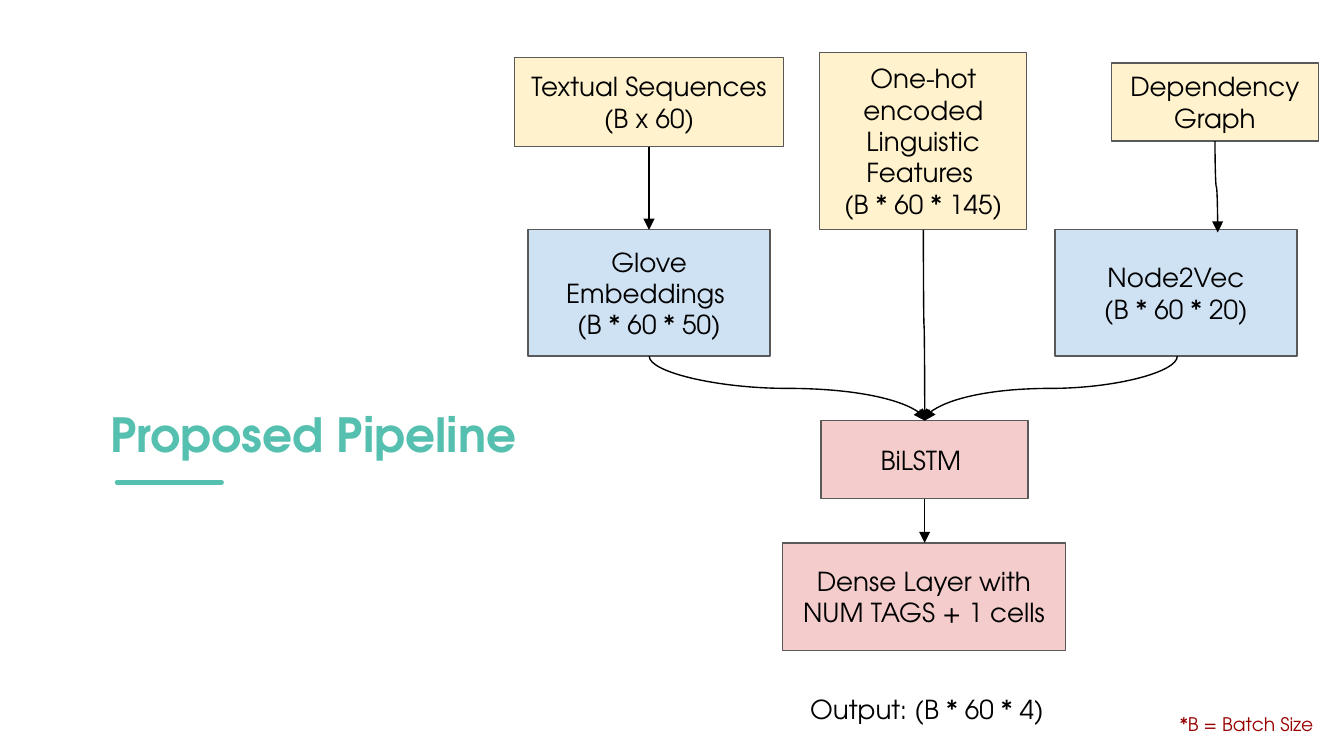
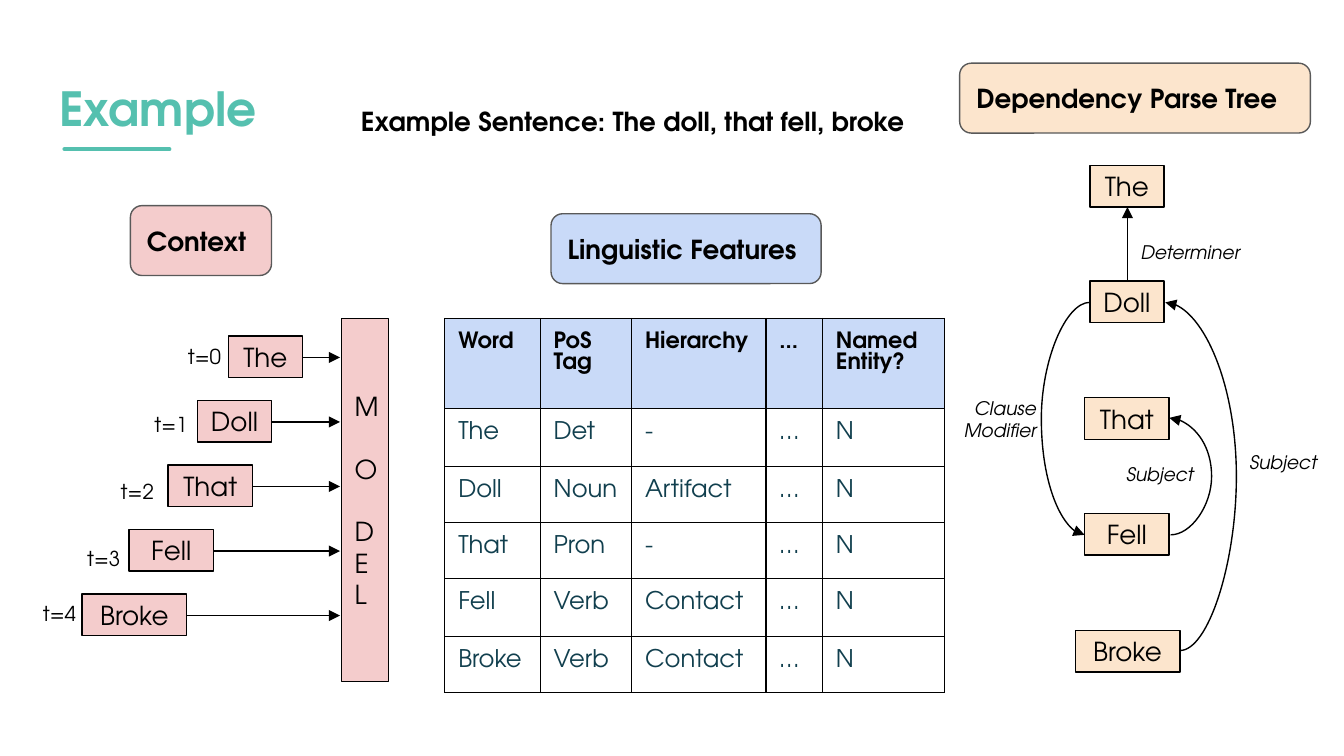
from dataclasses import dataclass

from lxml import etree
from pptx import Presentation
from pptx.dml.color import RGBColor
from pptx.enum.shapes import MSO_CONNECTOR, MSO_SHAPE
from pptx.enum.text import MSO_ANCHOR, MSO_AUTO_SIZE, PP_ALIGN
from pptx.oxml.ns import qn
from pptx.util import Emu, Pt

STRAIGHT, CURVE = MSO_CONNECTOR.STRAIGHT, MSO_CONNECTOR.CURVE
RECT, ROUNDED = MSO_SHAPE.RECTANGLE, MSO_SHAPE.ROUNDED_RECTANGLE
TOP, MIDDLE = MSO_ANCHOR.TOP, MSO_ANCHOR.MIDDLE
LEFT, CENTER, RIGHT = PP_ALIGN.LEFT, PP_ALIGN.CENTER, PP_ALIGN.RIGHT
GROW, FIXED = MSO_AUTO_SIZE.SHAPE_TO_FIT_TEXT, MSO_AUTO_SIZE.NONE
TITLE_ONLY = 5
EMU_PER_PX = 9144
INSET = 10
START, END = "a:headEnd", "a:tailEnd"


@dataclass(frozen=True)
class Theme:
    font: str = "TeX Gyre Adventor"
    accent: str = "55C0AF"
    ink: str = "000000"
    outline: str = "595959"
    note: str = "980000"
    table_ink: str = "113F4E"
    yellow: str = "FFF2CC"
    blue: str = "CFE2F3"
    pink: str = "F4CCCC"
    header: str = "C9DAF8"
    peach: str = "FCE5CD"
    title_size: float = 25.2
    body_size: int = 14
    cell_size: int = 13
    header_size: int = 12
    step_size: int = 11
    small_size: int = 10
    thin: float = 0.75
    thick: float = 2.25


THEME = Theme()
WORD_WIDTHS = {"The": 55, "Doll": 55, "That": 63, "Fell": 63, "Broke": 78}
WORD_HEIGHT = 31


def px(value):
    return Emu(round(value * EMU_PER_PX))


def color(value):
    return RGBColor.from_string(value)


def place(left, top, width, height):
    return px(left), px(top), px(width), px(height)


def set_text(frame, text, size=THEME.body_size, ink=THEME.ink, bold=False,
             italic=False, align=LEFT):
    frame.text = text
    for para in frame.paragraphs:
        para.alignment = align
        for span in para.runs:
            font = span.font
            font.name, font.size = THEME.font, Pt(size)
            font.bold, font.italic = bold, italic
            font.color.rgb = color(ink)
        for line_break in para._p.findall(qn("a:br")):
            style = etree.SubElement(line_break, qn("a:rPr"),
                                     sz=str(round(size * 100)))
            etree.SubElement(style, qn("a:latin"), typeface=THEME.font)


def set_frame(frame, anchor, auto_size=FIXED):
    frame.word_wrap = True
    frame.auto_size = auto_size
    frame.vertical_anchor = anchor
    frame.margin_left = frame.margin_right = px(INSET)
    frame.margin_top = frame.margin_bottom = px(INSET)


def add_box(page, text, bounds, fill, outline=THEME.outline, kind=RECT,
            align=CENTER, bold=False):
    box = page.shapes.add_shape(kind, *place(*bounds))
    box.shadow.inherit = False
    box.fill.solid()
    box.fill.fore_color.rgb = color(fill)
    box.line.color.rgb = color(outline)
    box.line.width = Pt(THEME.thin)
    set_frame(box.text_frame, MIDDLE)
    set_text(box.text_frame, text, bold=bold, align=align)


def add_heading(page, text, bounds, fill):
    add_box(page, text, bounds, fill, kind=ROUNDED, align=LEFT, bold=True)


def add_word(page, word, left, top, fill):
    bounds = (left, top, WORD_WIDTHS[word], WORD_HEIGHT)
    add_box(page, word, bounds, fill, THEME.ink)


def add_label(page, text, bounds, anchor=TOP, auto_size=GROW, **style):
    label = page.shapes.add_textbox(*place(*bounds))
    set_frame(label.text_frame, anchor, auto_size)
    set_text(label.text_frame, text, **style)


def add_line(page, start, finish, kind=STRAIGHT, arrow=END,
             ink=THEME.ink, weight=THEME.thin):
    points = [px(value) for value in (*start, *finish)]
    line = page.shapes.add_connector(kind, *points)
    line.line.color.rgb = color(ink)
    line.line.width = Pt(weight)
    properties = line.element.spPr
    if arrow:
        etree.SubElement(properties.find(qn("a:ln")), qn(arrow), type="triangle")
    etree.SubElement(properties, qn("a:effectLst"))
    return line


def add_drop(page, start, finish, arrow=END):
    (x1, y1), (x2, y2) = start, finish
    side = 1 if x2 >= x1 else -1
    middle_x, middle_y = (x1 + x2) / 2, (y1 + y2) / 2
    reach, spread = side * (y2 - y1) / 2, abs(x2 - x1) / 2
    line = add_line(page, (middle_x + reach, middle_y - spread),
                    (middle_x - reach, middle_y + spread), CURVE, arrow)
    angle = 270 if side > 0 else 90
    line.element.spPr.find(qn("a:xfrm")).set("rot", str(angle * 60000))


def add_loop(page, start, finish, bend_x, arrow):
    line = add_line(page, start, finish, CURVE, arrow)
    ratio = (bend_x - start[0]) / (finish[0] - start[0])
    geometry = line.element.spPr.find(qn("a:prstGeom"))
    adjustments = geometry.find(qn("a:avLst"))
    if adjustments is None:
        adjustments = etree.SubElement(geometry, qn("a:avLst"))
    etree.SubElement(adjustments, qn("a:gd"), name="adj1",
                     fmla=f"val {round(ratio * 100000)}")


def add_page(deck, title, bounds, rule_start):
    page = deck.slides.add_slide(deck.slide_layouts[TITLE_ONLY])
    holder = page.shapes.title
    holder.left, holder.top, holder.width, holder.height = place(*bounds)
    set_frame(holder.text_frame, TOP)
    set_text(holder.text_frame, title, THEME.title_size, THEME.accent, bold=True)
    left, top = rule_start
    rule = add_line(page, rule_start, (left + 78, top), arrow=None,
                    ink=THEME.accent, weight=THEME.thick)
    rule.element.spPr.find(qn("a:ln")).set("cap", "rnd")
    return page


def set_borders(cell):
    properties = cell._tc.get_or_add_tcPr()
    for index, side in enumerate(("lnL", "lnR", "lnT", "lnB")):
        border = etree.Element(qn(f"a:{side}"), w=str(Pt(THEME.thin)))
        fill = etree.SubElement(border, qn("a:solidFill"))
        etree.SubElement(fill, qn("a:srgbClr"), val=THEME.ink)
        properties.insert(index, border)


def add_grid(page, left, top, widths, heights, rows):
    bounds = (left, top, sum(widths), sum(heights))
    table = page.shapes.add_table(len(rows), len(widths), *place(*bounds)).table
    table.first_row = table.horz_banding = False
    for column, width in zip(table.columns, widths):
        column.width = px(width)
    for index, (row, height, values) in enumerate(zip(table.rows, heights, rows)):
        row.height = px(height)
        is_header = index == 0
        size = THEME.header_size if is_header else THEME.cell_size
        ink = THEME.ink if is_header else THEME.table_ink
        for cell, value in zip(row.cells, values):
            cell.margin_left = cell.margin_right = px(INSET)
            cell.margin_top = cell.margin_bottom = px(INSET)
            set_text(cell.text_frame, value, size, ink, bold=is_header)
            if is_header:
                cell.fill.solid()
                cell.fill.fore_color.rgb = color(THEME.header)
            else:
                cell.fill.background()
            set_borders(cell)


def add_pipeline(deck):
    page = add_page(deck, "Proposed Pipeline", (72, 292, 384, 63), (87, 359))
    stages = (
        ("Textual Sequences (B x 60)", (383, 43, 200, 66), THEME.yellow),
        ("One-hot encoded\vLinguistic Features \v(B * 60 * 145)",
         (610, 39, 154, 132), THEME.yellow),
        ("Dependency Graph", (827, 47, 154, 58), THEME.yellow),
        ("Glove Embeddings \n(B * 60 * 50)", (393, 171, 180, 94), THEME.blue),
        ("Node2Vec\n(B * 60 * 20)", (785, 171, 180, 94), THEME.blue),
        ("BiLSTM ", (611, 313, 154, 58), THEME.pink),
        ("Dense Layer with NUM TAGS + 1 cells", (582, 404, 211, 80), THEME.pink),
    )
    for stage in stages:
        add_box(page, *stage)
    merge = (688, 313)
    add_drop(page, (483, 109), (483, 171))
    add_drop(page, (904, 105), (906, 173))
    for source in ((687, 171), (483, 265), (876, 265)):
        add_drop(page, source, merge)
    add_line(page, (688, 371), (688, 404))
    add_label(page, "Output: (B * 60 * 4)", (593, 506, 211, 44))
    add_label(page, "*B = Batch Size", (868, 522, 126, 37),
              size=THEME.small_size, ink=THEME.note)


def add_context(page):
    add_heading(page, "Context", (97, 153, 105, 52), THEME.pink)
    add_box(page, "M\vO\vD\vE\vL", (254, 237, 35, 270), THEME.pink,
            THEME.ink, align=LEFT)
    steps = (("The", 170, 130, 247), ("Doll", 147, 105, 297),
             ("That", 125, 80, 347), ("Fell", 96, 55, 397),
             ("Broke", 61, 22, 438))
    for index, (word, left, label_left, label_top) in enumerate(steps):
        top = 250 + 48 * index
        middle = top + 16
        add_word(page, word, left, top, THEME.pink)
        add_line(page, (left + WORD_WIDTHS[word], middle), (253, middle))
        add_label(page, f"t={index}", (label_left, label_top, 51, 39),
                  size=THEME.step_size)


def add_features(page):
    add_heading(page, "Linguistic Features", (410, 159, 201, 52), THEME.header)
    rows = (
        ("Word", "PoS Tag", "Hierarchy", "...", "Named Entity?"),
        ("The", "Det", "-", "…", "N"),
        ("Doll", "Noun", "Artifact", "…", "N"),
        ("That", "Pron", "-", "…", "N"),
        ("Fell", "Verb", "Contact", "…", "N"),
        ("Broke", "Verb", "Contact", "…", "N"),
    )
    add_grid(page, 331, 237, (71, 68, 100, 42, 91),
             (67, 43, 36, 36, 43, 36), rows)


def add_parse_tree(page):
    add_heading(page, "Dependency Parse Tree", (714, 47, 261, 52), THEME.peach)
    center = 839
    for index, (word, width) in enumerate(WORD_WIDTHS.items()):
        add_word(page, word, (2 * center - width) // 2,
                 123 + 173 * index // 2, THEME.peach)
    add_drop(page, (center, 154), (center, 209), START)
    add_loop(page, (870, 311), (871, 398), 902, START)
    add_loop(page, (811, 225), (807, 398), 775, END)
    add_loop(page, (867, 225), (878, 484), 920, START)
    relations = (
        ("Subject", (920, 327, 94, 37), LEFT),
        ("Subject", (820, 336, 78, 37), RIGHT),
        ("Determiner", (839, 171, 114, 37), LEFT),
        ("Clause Modifier", (703, 285, 78, 54), RIGHT),
    )
    for text, bounds, align in relations:
        add_label(page, text, bounds, size=THEME.small_size, italic=True,
                  align=align)


def add_example(deck):
    page = add_page(deck, "Example", (34, 49, 932, 63), (48, 111))
    add_context(page)
    add_features(page)
    add_parse_tree(page)
    add_label(page, "Example Sentence: The doll, that fell, broke",
              (254, 68, 434, 44), MIDDLE, FIXED, bold=True, align=CENTER)


def main():
    deck = Presentation()
    deck.slide_width = px(1000)
    deck.slide_height = Emu(deck.slide_width * 9 // 16)
    add_pipeline(deck)
    add_example(deck)
    deck.save("out.pptx")


if __name__ == "__main__":
    main()
